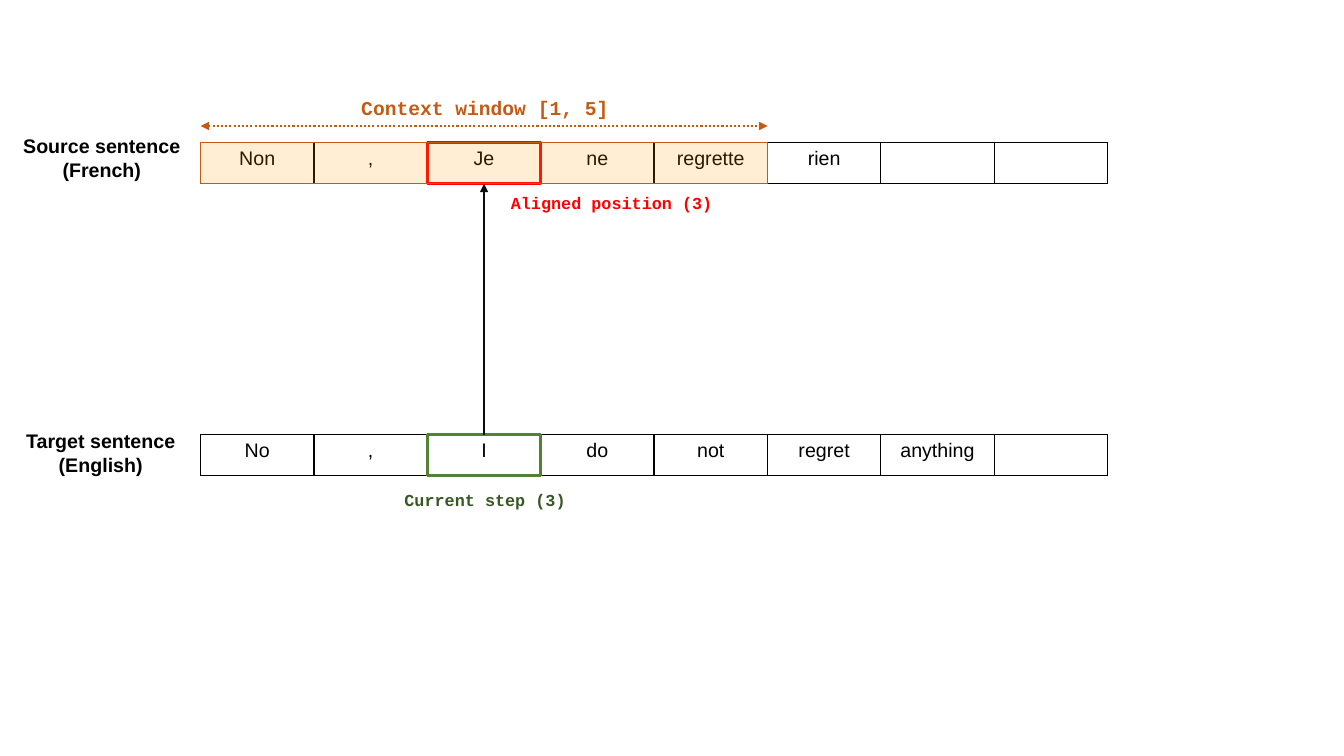
"""Build a slide that aligns an English target sentence with its French source."""
from lxml import etree
from pptx import Presentation
from pptx import util as u
from pptx.dml.color import RGBColor
from pptx.enum import dml, shapes, text
from pptx.oxml import parse_xml
from pptx.oxml.ns import nsdecls, qn

PX = 9525
LEFT, COL_W, ROW_H = 191, 108, 39
SOURCE_Y, TARGET_Y = 136, 414
STEP, WINDOW = 3, 5
SOURCE = ["Non", ",", "Je", "ne", "regrette", "rien", "", ""]
TARGET = ["No", ",", "I", "do", "not", "regret", "anything", ""]

BLACK = RGBColor(0x00, 0x00, 0x00)
NEAR_BLACK = RGBColor(0x0D, 0x0D, 0x0D)
RED = RGBColor(0xFF, 0x00, 0x00)
GREEN = RGBColor(0x54, 0x82, 0x35)
DARK_GREEN = RGBColor(0x38, 0x57, 0x23)
BROWN = RGBColor(0xC5, 0x5A, 0x11)
ORANGE = RGBColor(0xFF, 0x99, 0x00)


def px(*lengths):
    """Turn pixel lengths into EMU."""
    return [u.Emu(n * PX) for n in lengths]


def write(tf, content, size=14, font="Arial", color=BLACK, bold=False):
    """Write centred text, one paragraph per line."""
    for i, line in enumerate(content.split("\n")):
        p = tf.add_paragraph() if i else tf.paragraphs[0]
        p.alignment = text.PP_ALIGN.CENTER
        r = p.add_run()
        r.text = line
        r.font.size, r.font.name = u.Pt(size), font
        r.font.bold, r.font.color.rgb = bold, color


def add_label(s, content, x, y, w, h, **fmt):
    """Add a bold caption that fits its text."""
    tf = s.shapes.add_textbox(*px(x, y, w, h)).text_frame
    tf.word_wrap = False
    tf.auto_size = text.MSO_AUTO_SIZE.SHAPE_TO_FIT_TEXT
    write(tf, content, bold=True, **fmt)


def add_border(cell):
    """Draw a thin black line on each side of a cell."""
    for side in "LRTB":
        cell._tc.get_or_add_tcPr().append(parse_xml(
            f'<a:ln{side} {nsdecls("a")} w="{u.Pt(1)}"><a:solidFill>'
            f'<a:srgbClr val="{BLACK}"/></a:solidFill></a:ln{side}>'))


def add_sentence(s, words, y):
    """Add a one-row table with a word in each cell."""
    size = px(LEFT, y, COL_W * len(words), ROW_H)
    tbl = s.shapes.add_table(1, len(words), *size).table
    tbl.first_row = tbl.horz_banding = False
    for cell, word in zip(tbl.rows[0].cells, words):
        add_border(cell)
        cell.fill.background()
        if word:
            write(cell.text_frame, word)


def add_frame(s, first, count, y, color, width, fill=None, alpha=100):
    """Outline some cells of a row, with an optional see-through fill."""
    x = LEFT + (first - 1) * COL_W
    sp = s.shapes.add_shape(shapes.MSO_SHAPE.RECTANGLE,
                            *px(x, y, count * COL_W, ROW_H))
    sp.shadow.inherit = False
    sp.line.color.rgb, sp.line.width = color, u.Pt(width)
    if fill is None:
        sp.fill.background()
    else:
        sp.fill.solid()
        sp.fill.fore_color.rgb = fill
        clr = sp.element.spPr.find(qn("a:solidFill")).find(qn("a:srgbClr"))
        etree.SubElement(clr, qn("a:alpha"), val=str(alpha * 1000))
    return sp


def add_arrow(s, x1, y1, x2, y2, color, ends, dash=None):
    """Add a line with arrowheads at the named ends."""
    c = s.shapes.add_connector(shapes.MSO_CONNECTOR.STRAIGHT,
                               *px(x1, y1, x2, y2))
    c.line.color.rgb, c.line.width = color, u.Pt(1.5)
    if dash:
        c.line.dash_style = dash
    ln = c.line._get_or_add_ln()
    for end in ends:
        etree.SubElement(ln, qn(f"a:{end}End"), type="triangle")
    etree.SubElement(c.element.spPr, qn("a:effectLst"))
    return c


def main():
    """Build and save the slide."""
    prs = Presentation()
    prs.slide_width, prs.slide_height = px(1280, 720)
    s = prs.slides.add_slide(prs.slide_layouts[6])

    add_sentence(s, SOURCE, SOURCE_Y)
    add_sentence(s, TARGET, TARGET_Y)
    aligned = add_frame(s, STEP, 1, SOURCE_Y, RED, 2.25)
    current = add_frame(s, STEP, 1, TARGET_Y, GREEN, 2.25)

    add_label(s, "Source sentence\n(French)", 12, 123, 170, 55)
    add_label(s, "Target sentence\n(English)", 15, 404, 162, 55)
    add_label(s, "Current step (3)", 374, 462, 176, 29,
              size=12, font="Courier New", color=DARK_GREEN)
    add_label(s, "Aligned position (3)", 475, 179, 215, 29,
              size=12, font="Courier New", color=RED)
    add_label(s, "Context window [1, 5]", 334, 87, 256, 33,
              font="Courier New", color=BROWN)

    mid = LEFT + STEP * COL_W - COL_W // 2
    link = add_arrow(s, mid, TARGET_Y, mid, SOURCE_Y + ROW_H,
                     NEAR_BLACK, ["tail"])
    link.begin_connect(current, 0)
    link.end_connect(aligned, 2)
    add_arrow(s, LEFT, 120, LEFT + WINDOW * COL_W, 120, BROWN,
              ["head", "tail"], dash=dml.MSO_LINE.ROUND_DOT)
    add_frame(s, 1, WINDOW, SOURCE_Y, BROWN, 1, fill=ORANGE, alpha=17)

    prs.save("out.pptx")


if __name__ == "__main__":
    main()
